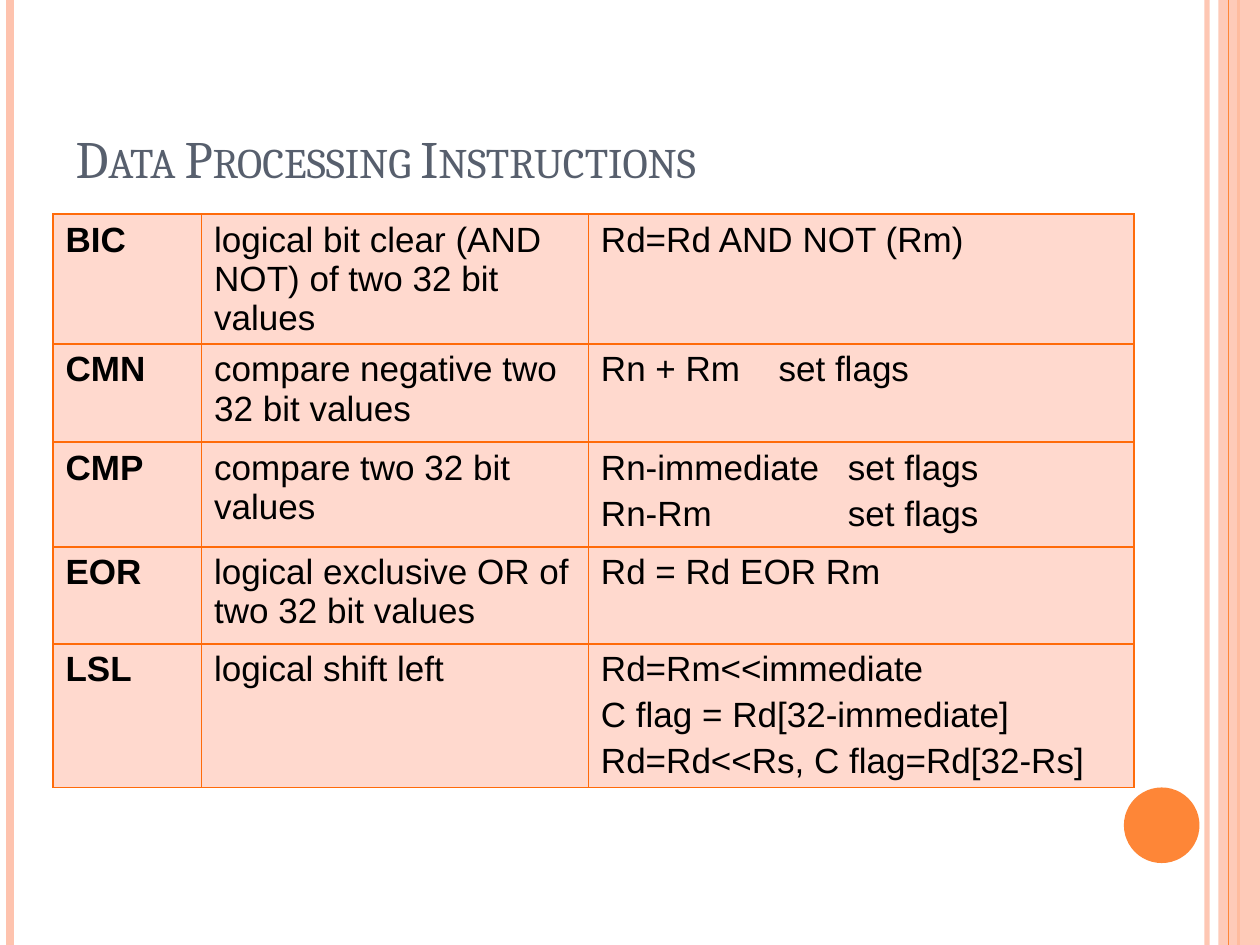
from lxml.etree import SubElement
from pptx import Presentation
from pptx.dml.color import RGBColor
from pptx.enum.shapes import MSO_CONNECTOR, MSO_SHAPE
from pptx.enum.text import MSO_ANCHOR, PP_ALIGN
from pptx.oxml.ns import qn
from pptx.util import Inches, Pt

PEACH, ORANGE, BORDER, CELL = "FEC3AE", "FE8637", "FF6B0A", "FFD9CE"
SLATE, BLACK = "575F6D", "000000"

INSTRUCTIONS = [
    ("BIC", "logical bit clear (AND NOT) of two 32 bit values",
     ["Rd=Rd AND NOT (Rm)"]),
    ("CMN", "compare negative two 32 bit values", ["Rn + Rm\tset flags"]),
    ("CMP", "compare two 32 bit values",
     ["Rn-immediate\tset flags", "Rn-Rm\tset flags"]),
    ("EOR", "logical exclusive OR of two 32 bit values", ["Rd = Rd EOR Rm"]),
    ("LSL", "logical shift left",
     ["Rd=Rm<<immediate", "C flag = Rd[32-immediate]",
      "Rd=Rd<<Rs, C flag=Rd[32-Rs]"]),
]
FLAG_TABS = {"CMN": 1.41, "CMP": 1.96}
COLUMN_WIDTHS = [1.18, 3.07, 4.33]
ROW_HEIGHTS = [1.03, 0.78, 0.83, 0.77, 1.14]


def rgb(value):
    return RGBColor.from_string(value)


def write(frame, lines, font="Arial", size=20, color=BLACK, bold=False,
          small_caps=False, gap=4, tab=None):
    for index, line in enumerate(lines):
        paragraph = frame.paragraphs[0] if index == 0 else frame.add_paragraph()
        paragraph.alignment = PP_ALIGN.LEFT
        paragraph.space_before = Pt(gap if index else 0)
        if tab:
            stops = SubElement(paragraph._p.get_or_add_pPr(), qn("a:tabLst"))
            SubElement(stops, qn("a:tab"), pos=str(Inches(tab)), algn="l")
        run = paragraph.add_run()
        run.text = line
        run.font.name = font
        run.font.size = Pt(size)
        run.font.bold = bold
        run.font.color.rgb = rgb(color)
        if small_caps:
            run.font._element.set("cap", "small")


def set_opacity(fill_parent, percent):
    color = fill_parent.find(".//" + qn("a:srgbClr"))
    SubElement(color, qn("a:alpha"), val=str(percent * 1000))


def add_stripe(slide, x, top, height, color, width, opacity=None):
    stripe = slide.shapes.add_connector(
        MSO_CONNECTOR.STRAIGHT, Inches(x), Inches(top),
        Inches(x), Inches(top + height))
    stripe.line.color.rgb = rgb(color)
    stripe.line.width = Pt(width)
    properties = stripe._element.spPr
    if opacity:
        set_opacity(properties, opacity)
    SubElement(properties, qn("a:effectLst"))


def add_filled(slide, preset, left, top, width, height, color, opacity=None):
    shape = slide.shapes.add_shape(
        preset, Inches(left), Inches(top), Inches(width), Inches(height))
    shape.shadow.inherit = False
    shape.fill.solid()
    shape.fill.fore_color.rgb = rgb(color)
    shape.line.fill.background()
    if opacity:
        set_opacity(shape._element.spPr, opacity)


def add_frame(slide, left, top, width, height):
    right = left + width
    add_stripe(slide, right - 0.42, top, height, PEACH, 3, opacity=93)
    add_stripe(slide, left + 0.08, top, height, PEACH, 4.5)
    add_stripe(slide, right - 0.17, top, height, ORANGE, 1.5)
    add_filled(slide, MSO_SHAPE.RECTANGLE, right - 0.33, top, 0.33, height,
               PEACH, opacity=87)
    add_stripe(slide, right - 0.25, top, height, ORANGE, 0.75)
    add_filled(slide, MSO_SHAPE.OVAL, right - 1.08, top + height - 1.25,
               0.6, 0.6, ORANGE)


def place_title(slide, left, top, width, height):
    title = slide.shapes.title
    title.left, title.top = Inches(left), Inches(top)
    title.width, title.height = Inches(width), Inches(height)
    title.text_frame.vertical_anchor = MSO_ANCHOR.BOTTOM
    write(title.text_frame, ["Data Processing Instructions"],
          font="Cambria", size=30, color=SLATE, small_caps=True)


def style_cell(cell):
    properties = cell._tc.get_or_add_tcPr()
    for side in ("lnL", "lnR", "lnT", "lnB"):
        edge = SubElement(properties, qn("a:" + side), w=str(Pt(1)))
        fill = SubElement(edge, qn("a:solidFill"))
        SubElement(fill, qn("a:srgbClr"), val=BORDER)
    cell.fill.solid()
    cell.fill.fore_color.rgb = rgb(CELL)


def add_instruction_table(slide, left, top, width, height):
    table = slide.shapes.add_table(
        len(INSTRUCTIONS), len(COLUMN_WIDTHS), Inches(left), Inches(top),
        Inches(width), Inches(height)).table
    table.first_row = table.horz_banding = False
    for column, share in zip(table.columns, COLUMN_WIDTHS):
        column.width = Inches(width * share / sum(COLUMN_WIDTHS))
    for row, share, (mnemonic, meaning, effects) in zip(
            table.rows, ROW_HEIGHTS, INSTRUCTIONS):
        row.height = Inches(height * share / sum(ROW_HEIGHTS))
        for cell in row.cells:
            style_cell(cell)
        name_cell, meaning_cell, effect_cell = row.cells
        write(name_cell.text_frame, [mnemonic], bold=True)
        write(meaning_cell.text_frame, [meaning])
        write(effect_cell.text_frame, effects, tab=FLAG_TABS.get(mnemonic))


def main():
    deck = Presentation()
    deck.slide_width, deck.slide_height = Inches(10), Inches(7.5)
    slide = deck.slides.add_slide(deck.slide_layouts[5])
    add_frame(slide, 0, 0, 10, 7.5)
    place_title(slide, 0.5, 0.3, 9, 1.25)
    add_instruction_table(slide, 0.42, 1.7, 8.58, 4.55)
    deck.save("out.pptx")


if __name__ == "__main__":
    main()
